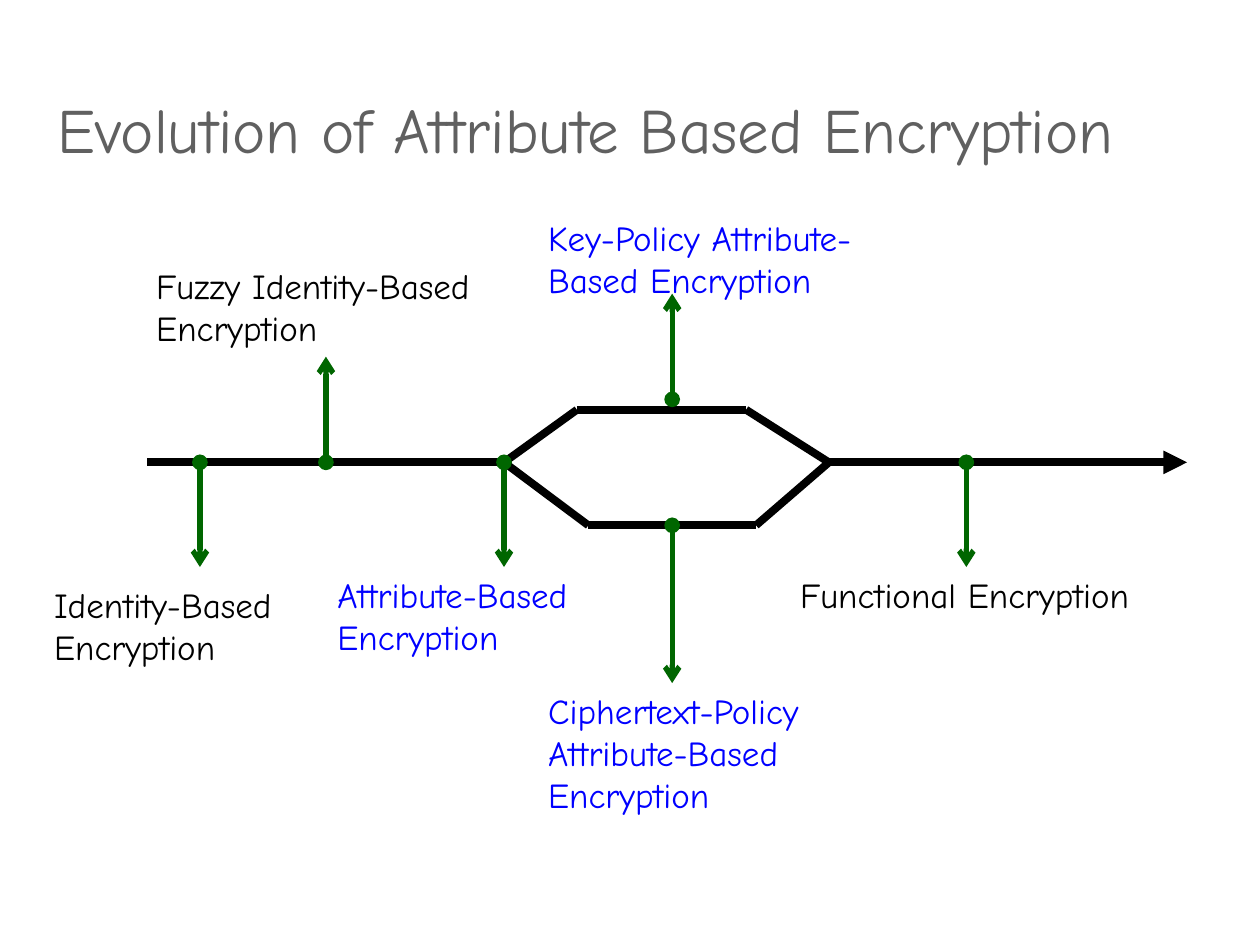
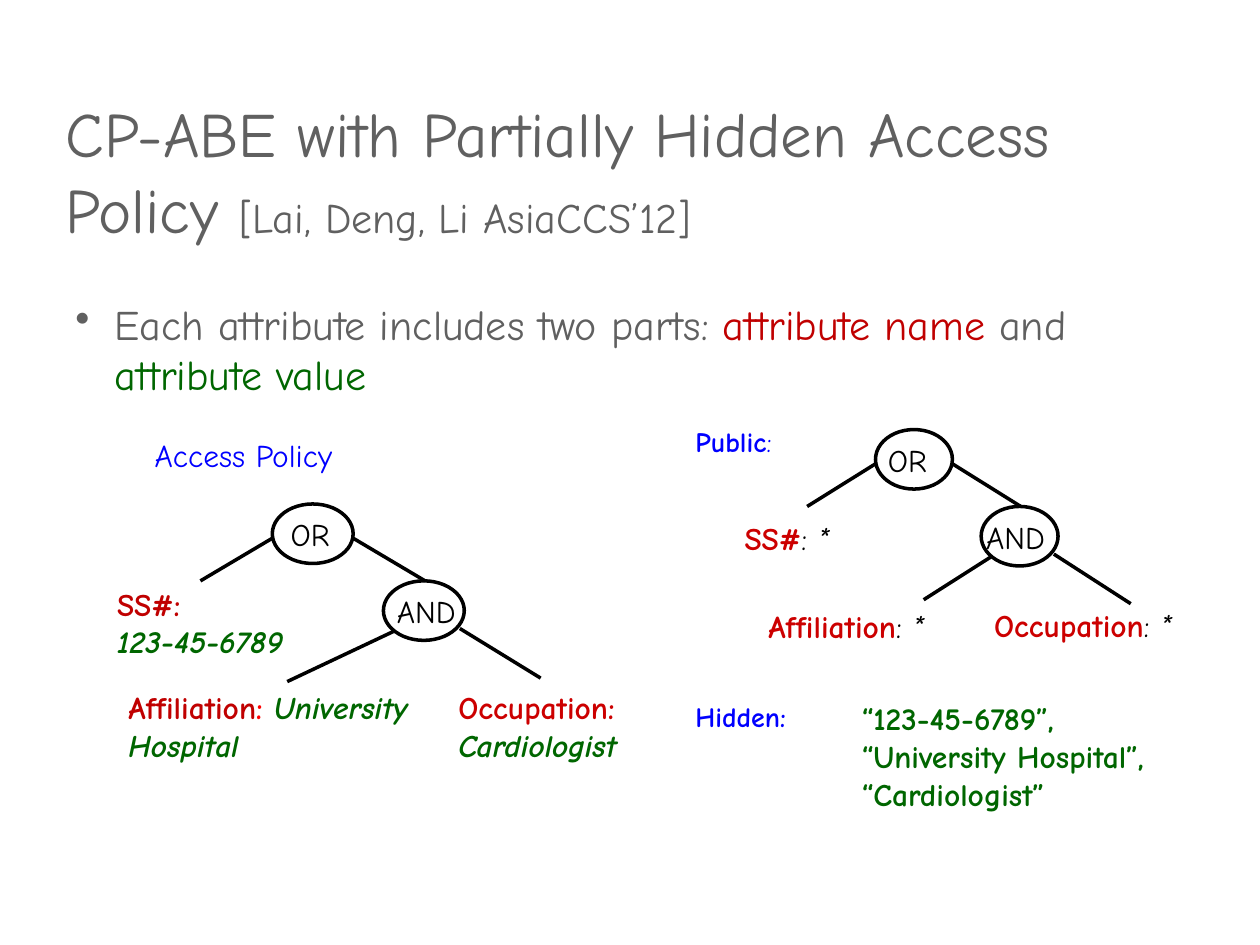
from dataclasses import dataclass
from typing import NamedTuple, Optional

from lxml import etree
from pptx import Presentation
from pptx import util as u
from pptx.dml.color import RGBColor
from pptx.enum import shapes, text
from pptx.oxml.ns import qn

# ---- Shared style: lengths in centimetres, sizes in points ----
FONT = "Comic Neue"
COLORS = {
    "black": "000000",
    "grey": "606060",
    "blue": "0000FF",
    "green": "006600",
    "dark red": "C00000",
    "red": "CC0000",
    "bright red": "FF0000",
}
TITLE_SIZE = 36
BODY_SIZE = 24
TITLE_ONLY = 5


class Box(NamedTuple):
    left: float
    top: float
    width: float
    height: float


class Point(NamedTuple):
    x: float
    y: float


class Run(NamedTuple):
    text: str
    color: str = "black"
    bold: bool = False
    italic: bool = False
    size: Optional[float] = None


@dataclass
class Milestone:
    label: str
    left: float
    top: float
    width: float
    lines: int
    x: float
    start: float
    end: float
    color: str = "black"

    @property
    def box(self) -> Box:
        return Box(self.left, self.top, self.width, 0.26 + 0.85 * self.lines)


@dataclass
class PolicyTree:
    left: float
    top: float
    node_width: float
    or_label: float
    and_label: float
    affiliation: Point  # end of the left branch below AND

    def at(self, x: float, y: float) -> Point:
        """Place a point of the tree, stretched with the node width."""
        return Point(self.left + x * self.node_width / 1.63, self.top + y)


def rgb(color: str) -> RGBColor:
    return RGBColor.from_string(COLORS[color])


def fill_text(frame, paragraphs: list[list[Run]], *, size: float,
              bullet: Optional[str] = None, indent: float = 0.79) -> None:
    """Write formatted runs into a text frame, one list per paragraph."""
    frame.word_wrap = True
    frame.auto_size = text.MSO_AUTO_SIZE.NONE
    frame.vertical_anchor = text.MSO_ANCHOR.TOP
    for index, runs in enumerate(paragraphs):
        paragraph = frame.paragraphs[0] if index == 0 else frame.add_paragraph()
        paragraph.alignment = text.PP_ALIGN.LEFT
        if bullet:
            properties = paragraph._p.get_or_add_pPr()
            properties.set("marL", str(u.Cm(indent)))
            properties.set("indent", str(-u.Cm(indent)))
            etree.SubElement(properties, qn("a:buChar")).set("char", bullet)
        for item in runs:
            run = paragraph.add_run()
            run.text = item.text
            run.font.name = FONT
            run.font.size = u.Pt(item.size or size)
            run.font.bold = item.bold
            run.font.italic = item.italic
            run.font.color.rgb = rgb(item.color)


def add_text(slide, box: Box, *paragraphs: list[Run], size: float = 18,
             bullet: Optional[str] = None) -> None:
    shape = slide.shapes.add_textbox(*map(u.Cm, box))
    fill_text(shape.text_frame, list(paragraphs), size=size, bullet=bullet)


def add_title_slide(presentation, box: Box, *runs: Run):
    slide = presentation.slides.add_slide(presentation.slide_layouts[TITLE_ONLY])
    title = slide.shapes.title
    title.left, title.top, title.width, title.height = map(u.Cm, box)
    fill_text(title.text_frame, [list(runs)], size=TITLE_SIZE)
    return slide


def add_line(slide, start: Point, end: Point, *, width: float,
             color: str = "black", head: Optional[str] = None,
             tail: Optional[str] = None) -> None:
    connector = slide.shapes.add_connector(
        shapes.MSO_CONNECTOR.STRAIGHT, *map(u.Cm, (*start, *end)))
    connector.line.width = u.Pt(width)
    connector.line.color.rgb = rgb(color)
    properties = connector._element.spPr
    outline = properties.find(qn("a:ln"))
    for tag, kind in (("a:headEnd", head), ("a:tailEnd", tail)):
        if kind:
            etree.SubElement(outline, qn(tag)).set("type", kind)
    etree.SubElement(properties, qn("a:effectLst"))


def add_node(slide, corner: Point, width: float, label: str,
             label_left: float) -> None:
    """Draw a gate of a policy tree with its label."""
    add_text(slide, Box(label_left, corner.y + 0.1, 2.4, 1.02), [Run(label)])
    ellipse = slide.shapes.add_shape(
        shapes.MSO_SHAPE.OVAL, *map(u.Cm, (*corner, width, 1.2)))
    ellipse.shadow.inherit = False
    ellipse.fill.background()
    ellipse.line.color.rgb = rgb("black")
    ellipse.line.width = u.Pt(2)


def add_tree(slide, tree: PolicyTree) -> None:
    branches = [
        (tree.at(0, 0.69), tree.at(-1.45, 1.55)),
        (tree.at(1.63, 0.69), tree.at(3.08, 1.55)),
        (tree.at(2.44, 2.57), tree.affiliation),
        (tree.at(3.78, 2.51), tree.at(5.41, 3.51)),
    ]
    for start, end in branches:
        add_line(slide, start, end, width=2)
    add_node(slide, tree.at(0, 0), tree.node_width, "OR", tree.or_label)
    add_node(slide, tree.at(2.24, 1.55), tree.node_width, "AND", tree.and_label)


# ---- Slide 1: timeline that forks and joins again ----
AXIS, UPPER, LOWER = 9.32, 8.26, 10.59
ABOVE, BELOW = 7.19, 11.43
FORK, JOIN = Point(10.16, AXIS), Point(16.71, AXIS)

TRACKS = [
    [Point(2.97, AXIS), FORK],
    [FORK, Point(11.63, UPPER), Point(15.04, UPPER), JOIN],
    [FORK, Point(11.86, LOWER), Point(15.24, LOWER), JOIN],
]

MILESTONES = [
    Milestone("Identity-Based Encryption", 0.84, 11.63, 5.92, 2,
              4.03, AXIS, BELOW),
    Milestone("Fuzzy Identity-Based Encryption", 2.9, 5.21, 7.42, 2,
              6.57, AXIS, ABOVE),
    Milestone("Attribute-Based Encryption", 6.55, BELOW, 6.35, 2,
              FORK.x, AXIS, BELOW, "blue"),
    Milestone("Key-Policy Attribute-Based Encryption", 10.8, 4.24, 7.62, 2,
              13.55, 8.05, 5.92, "blue"),
    Milestone("Ciphertext-Policy Attribute-Based Encryption", 10.8, 13.77, 7.19,
              3, 13.55, LOWER, 13.77, "blue"),
    Milestone("Functional Encryption", 15.88, BELOW, 7.62, 1,
              19.48, AXIS, BELOW),
]


def build_evolution(presentation) -> None:
    slide = add_title_slide(
        presentation, Box(0.91, 1.7, 24.49, 3.33),
        Run("Evolution of Attribute Based Encryption", "grey"))
    add_line(slide, JOIN, Point(23.93, AXIS), width=4.5, tail="triangle")
    for track in TRACKS:
        for start, end in zip(track, track[1:]):
            add_line(slide, start, end, width=4.5)
    for milestone in MILESTONES:
        add_text(slide, milestone.box,
                 [Run(milestone.label, milestone.color)], size=20)
        add_line(slide, Point(milestone.x, milestone.start),
                 Point(milestone.x, milestone.end),
                 width=3, color="green", head="oval", tail="arrow")


# ---- Slide 2: full policy on the left, public and hidden parts on the right ----
TREES = [
    PolicyTree(5.49, 10.16, 1.63, 5.61, 7.75, Point(5.79, 13.74)),
    PolicyTree(17.65, 8.66, 1.55, 17.65, 19.63, Point(18.62, 12.09)),
]

MASKED_LEAVES = [
    ("SS#", Box(14.76, 10.34, 2.9, 1.02)),
    ("Affiliation", Box(15.24, 12.12, 5.11, 1.02)),
    ("Occupation", Box(19.79, 12.09, 5.82, 1.02)),
]


def value(content: str, italic: bool = True) -> Run:
    return Run(content, "green", bold=True, italic=italic)


def build_hidden_policy(presentation) -> None:
    slide = add_title_slide(
        presentation, Box(1.07, 1.78, 23.06, 3.33),
        Run("CP-ABE with Partially Hidden Access Policy ", "grey"),
        Run("[Lai, Deng, Li AsiaCCS’12]", "grey", size=BODY_SIZE))
    add_text(slide, Box(1.27, 5.89, 22.86, 2.31),
             [Run("Each attribute includes two parts: ", "grey"),
              Run("attribute name ", "dark red"),
              Run("and ", "grey"),
              Run("attribute value", "green")],
             size=BODY_SIZE, bullet="•")
    for tree in TREES:
        add_tree(slide, tree)

    # Full access policy
    add_text(slide, Box(2.87, 8.66, 6.35, 1.02), [Run("Access Policy", "blue")])
    add_text(slide, Box(2.11, 11.66, 7.16, 1.8),
             [Run("SS#:", "dark red", bold=True)], [value("123-45-6789")])
    add_text(slide, Box(2.34, 13.74, 6.93, 1.8),
             [Run("Affiliation", "dark red", bold=True),
              Run(": ", "bright red", bold=True),
              value("University Hospital")])
    add_text(slide, Box(8.99, 13.74, 6.6, 1.8),
             [Run("Occupation: ", "red", bold=True), value("Cardiologist")])

    # Public part
    add_text(slide, Box(13.77, 8.43, 3.2, 0.94),
             [Run("Public", "blue", bold=True), Run(":", "blue")], size=16)
    for name, box in MASKED_LEAVES:
        add_text(slide, box, [Run(name, "red", bold=True), Run(": "),
                              Run("*", italic=True)])

    # Hidden part
    add_text(slide, Box(13.77, 13.97, 2.92, 0.94),
             [Run("Hidden:", "blue", bold=True)], size=16)
    add_text(slide, Box(17.12, 13.97, 8.08, 2.57),
             [value("“123-45-6789”,", italic=False)],
             [value("“University Hospital”, “Cardiologist”", italic=False)])


def main() -> None:
    presentation = Presentation()
    presentation.slide_width = u.Cm(25.4)
    presentation.slide_height = u.Cm(19.05)
    build_evolution(presentation)
    build_hidden_policy(presentation)
    presentation.save("out.pptx")


main()
